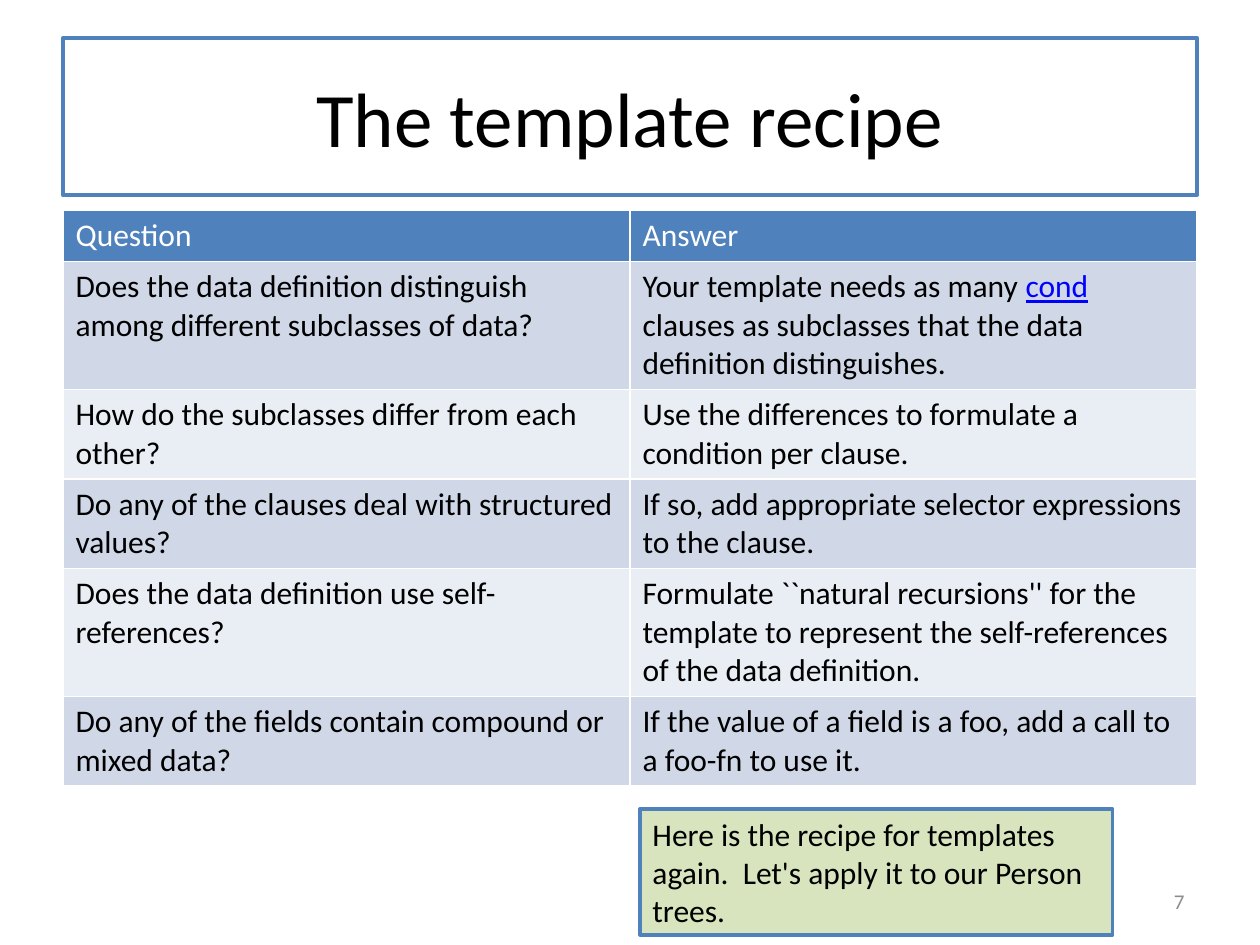
from pptx import Presentation
from pptx.dml.color import RGBColor
from pptx.enum import shapes, text
from pptx.util import Inches, Pt

WHITE = RGBColor(0xFF, 0xFF, 0xFF)
BLACK = RGBColor(0, 0, 0)
BLUE = RGBColor(0x4F, 0x81, 0xBD)
LINK_BLUE = RGBColor(0, 0, 0xFF)
GREY = RGBColor(0x8C, 0x8C, 0x8C)
GREEN = RGBColor(0xD7, 0xE4, 0xBD)
DARK_BAND = RGBColor(0xD0, 0xD8, 0xE8)
LIGHT_BAND = RGBColor(0xE9, 0xED, 0xF4)

FONT = "Calibri"
LINKED_WORD = "cond"
RECIPE = [
    ("Question", "Answer"),
    ("Does the data definition distinguish among different subclasses of data?",
     ("Your template needs as many ", LINKED_WORD,
      " clauses as subclasses that the data definition distinguishes.")),
    ("How do the subclasses differ from each other?",
     "Use the differences to formulate a condition per clause."),
    ("Do any of the clauses deal with structured values?",
     "If so, add appropriate selector expressions to the clause."),
    ("Does the data definition use self-references?",
     "Formulate ``natural recursions'' for the template to represent "
     "the self-references of the data definition."),
    ("Do any of the fields contain compound or mixed data?",
     "If the value of a field is a foo, add a call to a foo-fn to use it."),
]
ROW_HEIGHTS = (0.4, 1.01, 0.7, 0.7, 1.01, 0.7)


def add_run(paragraph, words, size=18, color=BLACK):
    run = paragraph.add_run()
    run.text = words
    run.font.name = FONT
    run.font.size = Pt(size)
    run.font.bold = False
    run.font.color.rgb = color
    return run


def place(shape, left, top, width, height):
    shape.left, shape.top = Inches(left), Inches(top)
    shape.width, shape.height = Inches(width), Inches(height)


def paint(shape, fill, line_width):
    shape.fill.solid()
    shape.fill.fore_color.rgb = fill
    shape.line.color.rgb = BLUE
    shape.line.width = Pt(line_width)


def write(shape, words, align, size=18, color=BLACK):
    frame = shape.text_frame
    frame.word_wrap = True
    frame.vertical_anchor = text.MSO_ANCHOR.MIDDLE
    paragraph = frame.paragraphs[0]
    paragraph.alignment = align
    add_run(paragraph, words, size, color)


def add_title(slide, words):
    title = slide.shapes.title
    place(title, 0.5, 0.3, 9, 1.25)
    paint(title, WHITE, 2.25)
    write(title, words, text.PP_ALIGN.CENTER, size=44)


def fill_cell(cell, content, fill, color):
    """Write a string, or a tuple of runs, into a cell."""
    cell.fill.solid()
    cell.fill.fore_color.rgb = fill
    paragraph = cell.text_frame.paragraphs[0]
    for words in (content,) if isinstance(content, str) else content:
        linked = words == LINKED_WORD
        run = add_run(paragraph, words, color=LINK_BLUE if linked else color)
        if linked:
            run.font.underline = True


def add_recipe_table(slide):
    frame = slide.shapes.add_table(
        len(RECIPE), 2, Inches(0.5), Inches(1.67), Inches(9), Inches(sum(ROW_HEIGHTS)))
    table = frame.table
    for r, (answers, height) in enumerate(zip(RECIPE, ROW_HEIGHTS)):
        table.rows[r].height = Inches(height)
        if r == 0:
            fill, color = BLUE, WHITE
        else:
            fill, color = (DARK_BAND if r % 2 else LIGHT_BAND), BLACK
        for c, content in enumerate(answers):
            fill_cell(table.cell(r, c), content, fill, color)


def add_page_number(slide, number):
    box = slide.shapes.add_textbox(Inches(7.17), Inches(6.95), Inches(2.33), Inches(0.4))
    write(box, number, text.PP_ALIGN.RIGHT, size=12, color=GREY)


def add_callout(slide, words):
    callout = slide.shapes.add_shape(
        shapes.MSO_SHAPE.RECTANGLE, Inches(5.08), Inches(6.42), Inches(3.75), Inches(1))
    callout.shadow.inherit = False
    paint(callout, GREEN, 2)
    write(callout, words, text.PP_ALIGN.LEFT)


def main():
    deck = Presentation()
    deck.slide_width, deck.slide_height = Inches(10), Inches(7.5)
    slide = deck.slides.add_slide(deck.slide_layouts[5])
    add_title(slide, "The template recipe")
    add_recipe_table(slide)
    add_page_number(slide, "7")
    add_callout(slide, "Here is the recipe for templates again.  "
                       "Let's apply it to our Person trees.")
    deck.save("out.pptx")


if __name__ == "__main__":
    main()
